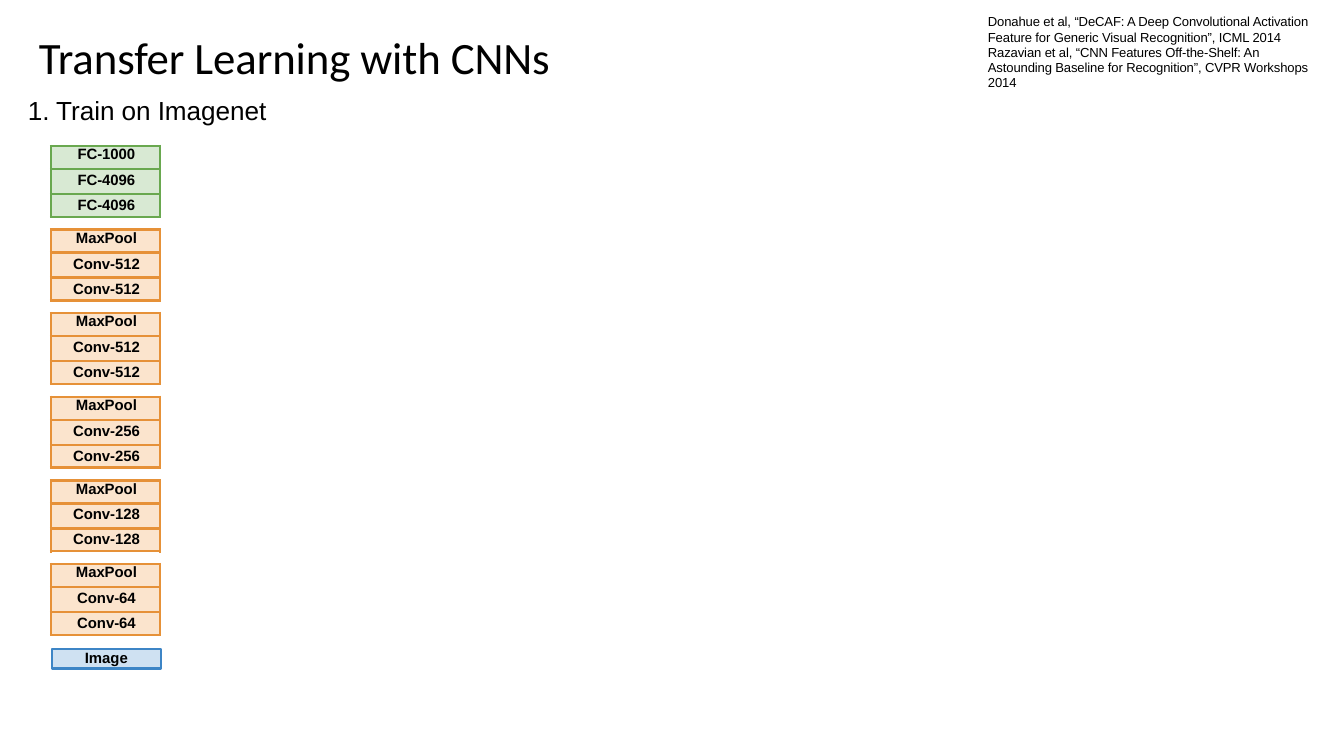
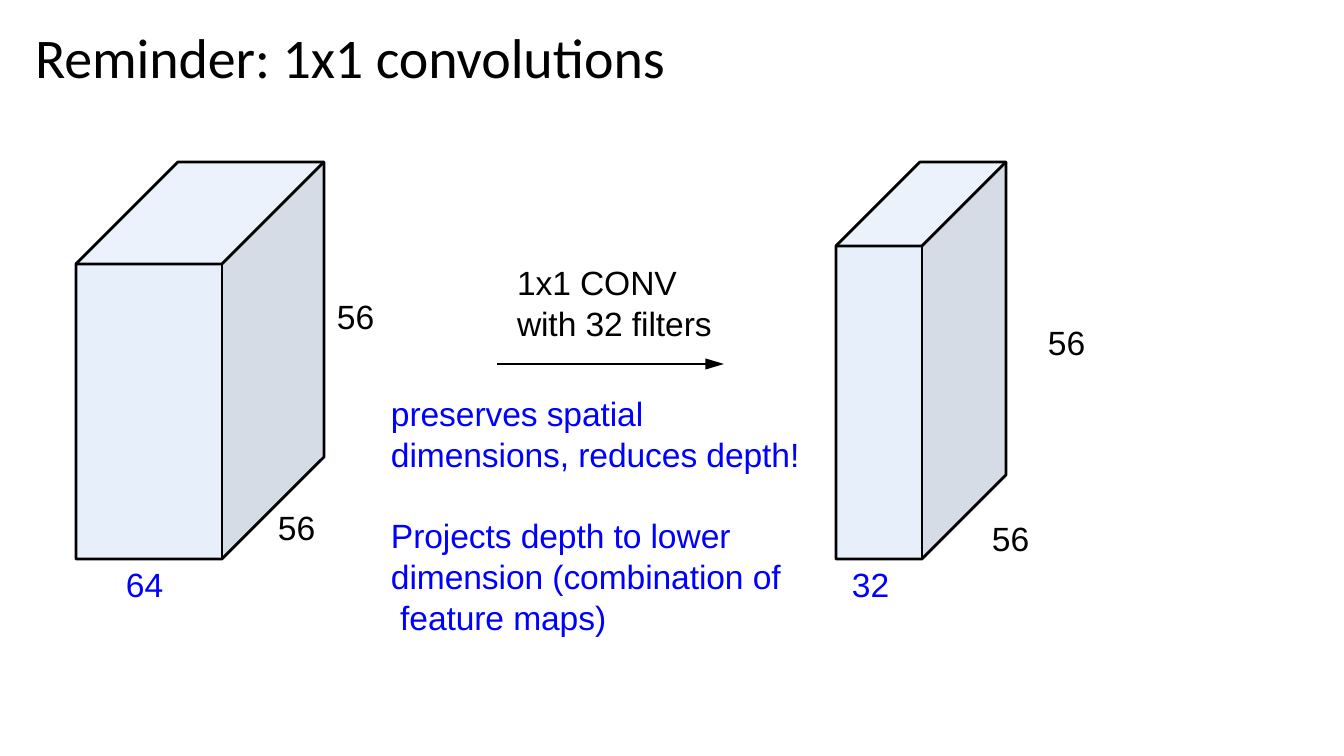
from lxml import etree
from pptx import Presentation
from pptx import util as u
from pptx.dml import color
from pptx.enum import shapes, text
from pptx.oxml import ns

SCALE = 9144000 / 1344
SLIDE_SIZE = (1344, 756)

BLACK, BLUE = "000000", "0000FF"
GREEN = {"fill": "D8E9D3", "line": "69A84F"}
ORANGE = {"fill": "FBE4CD", "line": "E69138"}
SKY = {"fill": "CFE1F2", "line": "3D85C6"}
FACES = {"front": "C8DAF7", "side": "A0AEC6", "top": "D3E1F9"}
FACE_OPACITY = 43

TITLE = {"name": "Calibri", "size": 24}
BIG_TITLE = {"name": "Calibri", "size": 30}
HEADING = {"name": "Arial", "size": 14}
CITATION = {"name": "Arial", "size": 7}
LAYER = {"name": "Arial", "size": 8, "bold": True}
BODY = {"name": "Arial", "size": 18}

TRANSFER_TEXTS = [
    (["Transfer Learning with CNNs"], (38, 27, 579, 58), TITLE, BLACK, {"anchor": "MIDDLE"}),
    (["1. Train on Imagenet"], (27, 93, 243, 35), HEADING, BLACK, {}),
    (["Donahue et al, “DeCAF: A Deep Convolutional Activation Feature for Generic Visual "
      "Recognition”, ICML 2014\vRazavian et al, “CNN Features Off-the-Shelf: An Astounding "
      "Baseline for Recognition”, CVPR Workshops 2014"],
     (987, 11, 331, 81), CITATION, BLACK, {"top": 3, "line": u.Pt(8.2), "before": 1.4}),
]
LAYER_GROUPS = [
    (["FC-1000", "FC-4096", "FC-4096"], GREEN),
    (["MaxPool", "Conv-512", "Conv-512"], ORANGE),
    (["MaxPool", "Conv-512", "Conv-512"], ORANGE),
    (["MaxPool", "Conv-256", "Conv-256"], ORANGE),
    (["MaxPool", "Conv-128", "Conv-128"], ORANGE),
    (["MaxPool", "Conv-64", "Conv-64"], ORANGE),
]
STACK_LEFT, STACK_TOP, STACK_BOTTOM, LAYER_WIDTH = 51, 146, 564, 109
LAYER_HEIGHTS = (23, 25, 23)
IMAGE_BOX = (52, 649, 109, 20)

CONVOLUTION_TEXTS = [
    (["Reminder: 1x1 convolutions"], (34, 20, 695, 71), BIG_TITLE, BLACK, {"anchor": "MIDDLE"}),
    (["1x1 CONV", "with 32 filters"], (516, 261, 199, 85), BODY, BLACK, {}),
    (["preserves spatial dimensions, reduces depth!"], (390, 392, 414, 85), BODY, BLUE,
     {"line": 1.01}),
    (["Projects depth to lower dimension (combination of\v feature maps)"],
     (390, 514, 400, 125), BODY, BLUE, {"line": 1.01}),
]
VOLUMES = [
    {"left": 76, "width": 146, "depth": 102,
     "sizes": [("64", 125, 563, BLUE), ("56", 277, 506, BLACK), ("56", 336, 295, BLACK)]},
    {"left": 836, "width": 86, "depth": 84,
     "sizes": [("32", 851, 563, BLUE), ("56", 991, 517, BLACK), ("56", 1047, 321, BLACK)]},
]
VOLUME_TOP, VOLUME_BOTTOM = 162, 559
SIZE_LABEL = (42, 44)
ARROW = ((497, 364), (724, 364))


def px(value):
    return u.Emu(round(value * SCALE))


def place(box):
    return [px(value) for value in box]


def rgb(value):
    return color.RGBColor.from_string(value)


def set_all(target, values):
    for name, value in values.items():
        setattr(target, name, value)


def add_node(parent, tag, **attributes):
    return etree.SubElement(parent, ns.qn(tag), attributes)


def style_paragraph(paragraph, words, style, ink, **layout):
    paragraph.text = words
    set_all(paragraph, layout)
    for run in paragraph.runs:
        set_all(run.font, {**style, "size": u.Pt(style["size"])})
        run.font.color.rgb = rgb(ink)
        run._r.get_or_add_rPr().set("spc", "-5")


def add_text(slide, lines, box, style, ink, options):
    frame = slide.shapes.add_textbox(*place(box)).text_frame
    set_all(frame, {
        "word_wrap": True, "margin_left": px(1), "margin_right": 0, "margin_bottom": 0,
        "margin_top": px(options.get("top", 1)),
        "vertical_anchor": text.MSO_ANCHOR[options.get("anchor", "TOP")],
    })
    for index, words in enumerate(lines):
        paragraph = frame.add_paragraph() if index else frame.paragraphs[0]
        before = 0.1 if index else options.get("before", 1)
        style_paragraph(paragraph, words, style, ink, space_before=u.Pt(before),
                        line_spacing=options.get("line"))


def add_borders(cell, ink):
    properties = cell._tc.get_or_add_tcPr()
    for side in ("a:lnL", "a:lnR", "a:lnT", "a:lnB"):
        border = add_node(properties, side, w=str(u.Pt(1.5)))
        add_node(add_node(border, "a:solidFill"), "a:srgbClr", val=ink)


def add_layers(slide, names, colors, top):
    box = (STACK_LEFT, top, LAYER_WIDTH, sum(LAYER_HEIGHTS))
    table = slide.shapes.add_table(len(names), 1, *place(box)).table
    set_all(table, {"first_row": False, "horz_banding": False})
    for index, (name, height) in enumerate(zip(names, LAYER_HEIGHTS)):
        table.rows[index].height = px(height)
        cell = table.cell(index, 0)
        set_all(cell, {"margin_left": px(2), "margin_right": 0, "margin_bottom": 0,
                       "margin_top": px(3 if index else 0)})
        add_borders(cell, colors["line"])
        cell.fill.solid()
        cell.fill.fore_color.rgb = rgb(colors["fill"])
        style_paragraph(cell.text_frame.paragraphs[0], name, LAYER, BLACK,
                        alignment=text.PP_ALIGN.CENTER,
                        space_before=u.Pt(1.6 if index else 0.2))


def add_image_box(slide):
    shape = slide.shapes.add_shape(shapes.MSO_SHAPE.RECTANGLE, *place(IMAGE_BOX))
    shape.shadow.inherit = False
    shape.fill.solid()
    shape.fill.fore_color.rgb = rgb(SKY["fill"])
    shape.line.color.rgb = rgb(SKY["line"])
    shape.line.width = u.Pt(1.5)
    frame = shape.text_frame
    set_all(frame, {"margin_left": 0, "margin_right": 0, "margin_top": 0, "margin_bottom": 0,
                    "vertical_anchor": text.MSO_ANCHOR.TOP})
    style_paragraph(frame.paragraphs[0], "Image", LAYER, BLACK,
                    alignment=text.PP_ALIGN.CENTER, space_before=u.Pt(0.2))


def add_outline(slide, points, fill=None, close=True):
    builder = slide.shapes.build_freeform(*points[0], scale=SCALE)
    builder.add_line_segments(points[1:], close=close)
    shape = builder.convert_to_shape()
    shape.shadow.inherit = False
    if fill:
        shape.fill.solid()
        shape.fill.fore_color.rgb = rgb(fill)
        tint = shape.fill._xPr.find(".//" + ns.qn("a:srgbClr"))
        add_node(tint, "a:alpha", val=str(FACE_OPACITY * 1000))
        shape.line.fill.background()
    else:
        shape.fill.background()
        shape.line.color.rgb = rgb(BLACK)
        shape.line.width = u.Pt(1.5)


def add_line(slide, start, end, width):
    line = slide.shapes.add_connector(shapes.MSO_CONNECTOR.STRAIGHT, *place(start + end))
    line.line.color.rgb = rgb(BLACK)
    line.line.width = u.Pt(width)
    add_node(line._element.spPr, "a:effectLst")
    return line


def add_volume(slide, volume):
    left, depth = volume["left"], volume["depth"]
    right, top = left + volume["width"], VOLUME_TOP + depth
    front_left, front_right = (left, top), (right, top)
    base_left, base_right = (left, VOLUME_BOTTOM), (right, VOLUME_BOTTOM)
    back_left, back_right = (left + depth, VOLUME_TOP), (right + depth, VOLUME_TOP)
    back_base = (right + depth, VOLUME_BOTTOM - depth)
    faces = {
        "front": [front_left, front_right, base_right, base_left],
        "side": [base_right, front_right, back_right, back_base],
        "top": [front_right, front_left, back_left, back_right],
    }
    for name, points in faces.items():
        add_outline(slide, points, FACES[name])
    add_outline(slide, [front_left, back_left, back_right, back_base, base_right, base_left])
    add_outline(slide, [front_left, front_right, back_right], close=False)
    add_line(slide, front_right, base_right, 1.5)
    for words, x, y, ink in volume["sizes"]:
        add_text(slide, [words], (x, y) + SIZE_LABEL, BODY, ink, {})


def add_slide(presentation, texts):
    slide = presentation.slides.add_slide(presentation.slide_layouts[6])
    for item in texts:
        add_text(slide, *item)
    return slide


def build_transfer(presentation):
    slide = add_slide(presentation, TRANSFER_TEXTS)
    pitch = (STACK_BOTTOM - STACK_TOP) / (len(LAYER_GROUPS) - 1)
    for index, (names, colors) in enumerate(LAYER_GROUPS):
        add_layers(slide, names, colors, STACK_TOP + index * pitch)
    add_image_box(slide)


def build_convolutions(presentation):
    slide = add_slide(presentation, CONVOLUTION_TEXTS)
    for volume in VOLUMES:
        add_volume(slide, volume)
    arrow = add_line(slide, *ARROW, 0.75)
    add_node(arrow.line._get_or_add_ln(), "a:tailEnd", type="triangle", w="med", len="lg")


def main():
    presentation = Presentation()
    presentation.slide_width, presentation.slide_height = place(SLIDE_SIZE)
    build_transfer(presentation)
    build_convolutions(presentation)
    presentation.save("out.pptx")


if __name__ == "__main__":
    main()
